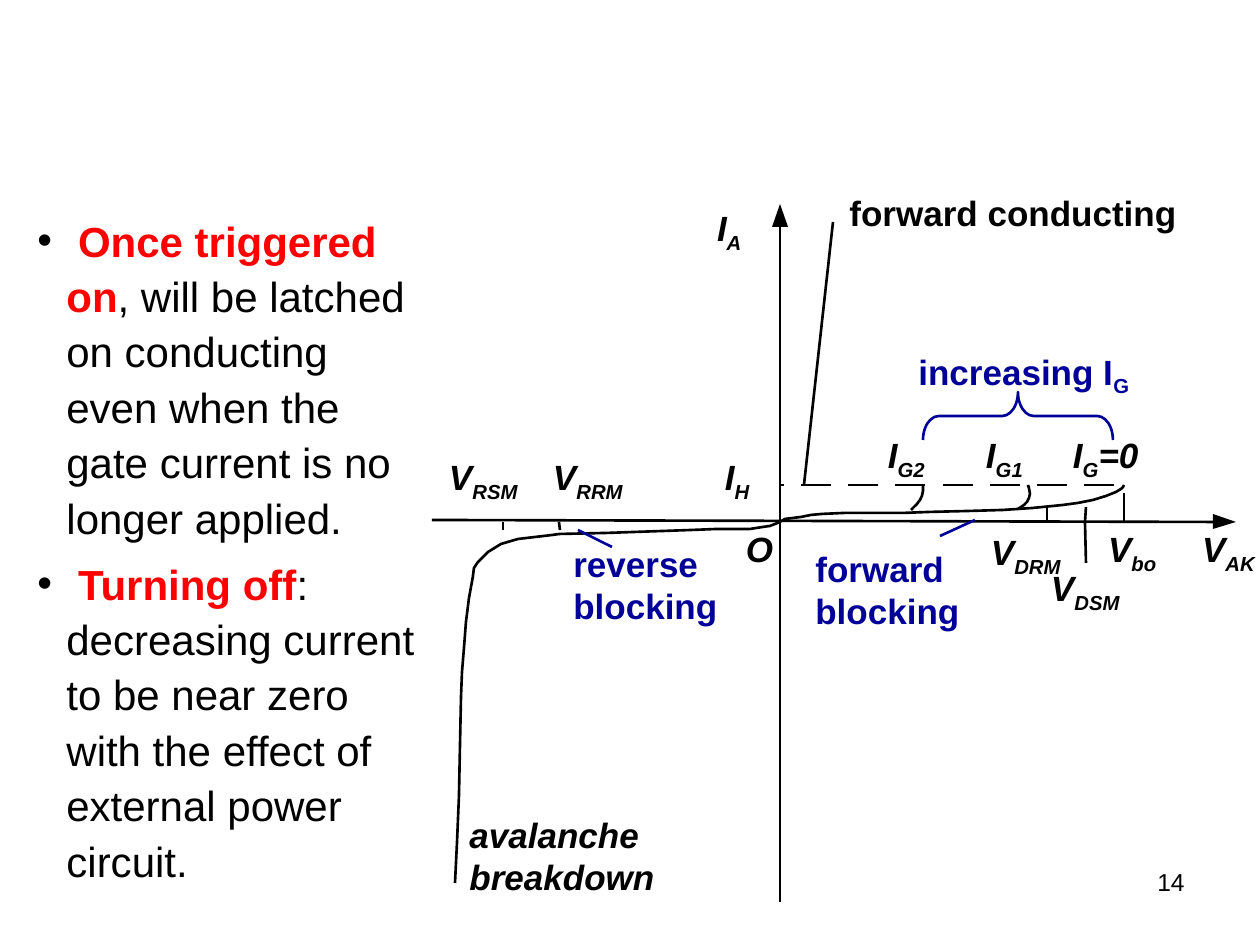
"""Build the thyristor characteristic slide with its latching notes."""
from dataclasses import dataclass

from lxml.etree import SubElement
from pptx import Presentation
from pptx.dml.color import RGBColor
from pptx.enum.shapes import MSO_CONNECTOR, MSO_SHAPE
from pptx.enum.text import MSO_AUTO_SIZE, PP_ALIGN
from pptx.oxml.ns import qn
from pptx.util import Pt

SCALE = 914400 / 126


@dataclass(frozen=True)
class Theme:
    """Colours, type sizes and line weight of the slide."""
    font: str = "Arial"
    ink: RGBColor = RGBColor(0x00, 0x00, 0x00)
    region: RGBColor = RGBColor(0x00, 0x00, 0x99)
    key: RGBColor = RGBColor(0xFF, 0x00, 0x00)
    body: Pt = Pt(24)
    label: Pt = Pt(20)
    number: Pt = Pt(14)
    stroke: Pt = Pt(1.5)


THEME = Theme()

NOTES = [
    ("Once triggered on", ", will be latched on conducting even when the "
                          "gate current is no longer applied."),
    ("Turning off", ": decreasing current to be near zero with the effect of "
                    "external power circuit."),
]

SYMBOLS = [
    ((746, 527, 31, 42), ("O",)),
    ((1202, 528, 56, 48), ("V", "AK")),
    ((717, 207, 43, 48), ("I", "A")),
    ((1108, 528, 54, 48), ("V", "bo")),
    ((1051, 567, 74, 48), ("V", "DSM")),
    ((991, 531, 74, 48), ("V", "DRM")),
    ((553, 456, 74, 48), ("V", "RRM")),
    ((449, 456, 74, 48), ("V", "RSM")),
    ((725, 456, 44, 48), ("I", "H")),
    ((986, 434, 66, 48), ("I", "G1")),
    ((1073, 434, 108, 48), ("I", "G", "=0")),
    ((888, 434, 66, 48), ("I", "G2")),
]

REGIONS = [
    ((837, 185, 393, 55), ("forward conducting",), THEME.ink, False),
    ((457, 807, 258, 97), ("avalanche breakdown",), THEME.ink, True),
    ((561, 536, 189, 97), ("reverse blocking",), THEME.region, False),
    ((906, 344, 289, 60), ("increasing I", "G"), THEME.region, False),
    ((803, 541, 195, 97), ("forward blocking",), THEME.region, False),
]

AXES = [
    ((432, 520), (1215, 522)),
    ((780, 522), (780, 225)),
    ((780, 522), (780, 902)),
]
ARROWHEADS = [
    [(1213, 514), (1236, 522), (1213, 529)],
    [(772, 227), (780, 204), (788, 227)],
]
VOLTAGE_TICKS = [
    ((1124, 522), (1124, 493)),
    ((1085, 522), (1086, 507)),
    ((1047, 522), (1047, 508)),
    ((559, 522), (560, 530)),
    ((503, 522), (503, 530)),
    ((1085, 522), (1086, 563)),
]
CONDUCTING_LINE = ((804, 485), (833, 222))
REGION_POINTERS = [((578, 530), (612, 547)), ((940, 536), (975, 520))]

CURVES = [
    [(923, 485), (923, 491), (922, 496), (920, 500), (917, 504), (914, 507),
     (911, 510)],
    [(1028, 485), (1029, 488), (1030, 494), (1029, 498), (1027, 502),
     (1024, 505), (1018, 509)],
    [(780, 522), (785, 519), (793, 518), (801, 517), (811, 515), (822, 514),
     (844, 513), (903, 513), (929, 512), (969, 511), (1003, 510), (1033, 508),
     (1063, 505), (1078, 503), (1093, 500), (1106, 496), (1116, 492),
     (1121, 489), (1123, 487), (1124, 485)],
    [(780, 522), (775, 524), (770, 526), (763, 527), (750, 529), (717, 529),
     (692, 530), (664, 531), (635, 532), (607, 533), (559, 534)],
    [(559, 534), (552, 535), (535, 537), (518, 539), (501, 544), (488, 552),
     (478, 562), (474, 568), (473, 576)],
    [(473, 576), (469, 598), (466, 622), (464, 648), (462, 672), (461, 697),
     (460, 747), (459, 796), (457, 843), (455, 883)],
]


def px(length):
    """Turn a length in px into EMU."""
    return round(length * SCALE)


def style_font(font, size, colour, bold=False, italic=False):
    """Give a run its typeface, size, colour and emphasis."""
    font.name, font.size = THEME.font, size
    font.color.rgb = colour
    font.bold, font.italic = bold, italic


def add_box(slide, area):
    """Add an empty wrapping text box and return its text frame."""
    frame = slide.shapes.add_textbox(*map(px, area)).text_frame
    frame.word_wrap = True
    return frame


def add_label(slide, area, parts, colour, italic, tight=False):
    """Add a bold label whose second part is a subscript."""
    frame = add_box(slide, area)
    frame.auto_size = MSO_AUTO_SIZE.SHAPE_TO_FIT_TEXT
    if tight:
        frame.margin_left = frame.margin_right = 0
        frame.margin_top = frame.margin_bottom = 0
    for position, part in enumerate(parts):
        run = frame.paragraphs[0].add_run()
        run.text = part
        style_font(run.font, THEME.label, colour, True, italic)
        if position == 1:
            run.font._element.set("baseline", "-25000")


def add_notes(slide, area):
    """Add the bulleted notes with their key phrases picked out."""
    frame = add_box(slide, area)
    for position, (phrase, explanation) in enumerate(NOTES):
        note = frame.add_paragraph() if position else frame.paragraphs[0]
        note.line_spacing = 1.1
        if position:
            note.space_before = Pt(6)
        properties = note._p.get_or_add_pPr()
        properties.set("marL", str(px(29)))
        properties.set("indent", str(px(-29)))
        SubElement(properties, qn("a:buFont")).set("typeface", THEME.font)
        SubElement(properties, qn("a:buChar")).set("char", "•")
        for wording, is_key in ((" ", False), (phrase, True), (explanation, False)):
            run = note.add_run()
            run.text = wording
            style_font(run.font, THEME.body, THEME.key if is_key else THEME.ink, is_key)


def add_page_number(slide, area, number):
    """Add the right-aligned page number."""
    line = add_box(slide, area).paragraphs[0]
    line.text = number
    line.alignment = PP_ALIGN.RIGHT
    style_font(line.runs[0].font, THEME.number, THEME.ink)


def add_line(slide, start, end, colour=THEME.ink):
    """Add a straight line between two points."""
    line = slide.shapes.add_connector(
        MSO_CONNECTOR.STRAIGHT, *map(px, start + end))
    line.line.color.rgb = colour
    line.line.width = THEME.stroke
    SubElement(line._element.spPr, qn("a:effectLst"))


def add_outline(slide, points, filled=False):
    """Add a filled arrowhead or an open curve through the points."""
    builder = slide.shapes.build_freeform(*points[0], scale=SCALE)
    builder.add_line_segments(points[1:], close=filled)
    outline = builder.convert_to_shape()
    outline.shadow.inherit = False
    if filled:
        outline.fill.solid()
        outline.fill.fore_color.rgb = THEME.ink
        outline.line.fill.background()
    else:
        outline.fill.background()
        outline.line.color.rgb = THEME.ink
        outline.line.width = THEME.stroke


def add_brace(slide, area):
    """Add the upward brace over the gate currents."""
    brace = slide.shapes.add_shape(MSO_SHAPE.RIGHT_BRACE, *map(px, area))
    brace.rotation = 270
    brace.adjustments[0] = 0.33
    brace.shadow.inherit = False
    brace.fill.background()
    brace.line.color.rgb = THEME.region
    brace.line.width = THEME.stroke


def add_holding_level(slide):
    """Add the evenly dashed holding current level up to the axis."""
    for step in range(8):
        right = 1114 - 189 * step // 4
        add_line(slide, (right, 485), (max(right - 30, 780), 485))


def main():
    """Assemble the slide and save it."""
    deck = Presentation()
    deck.slide_width, deck.slide_height = px(1260), px(945)
    slide = deck.slides.add_slide(deck.slide_layouts[6])
    add_page_number(slide, (903, 861, 294, 66), "14")
    add_notes(slide, (25, 204, 407, 655))
    for start, end in [*AXES, *VOLTAGE_TICKS, CONDUCTING_LINE]:
        add_line(slide, start, end)
    for arrowhead in ARROWHEADS:
        add_outline(slide, arrowhead, filled=True)
    add_holding_level(slide)
    for curve in CURVES:
        add_outline(slide, curve)
    for area, parts in SYMBOLS:
        add_label(slide, area, parts, THEME.ink, True, tight=True)
    for area, parts, colour, italic in REGIONS:
        add_label(slide, area, parts, colour, italic)
    for start, end in REGION_POINTERS:
        add_line(slide, start, end, THEME.region)
    add_brace(slide, (994, 321, 48, 190))
    deck.save("out.pptx")


if __name__ == "__main__":
    main()
